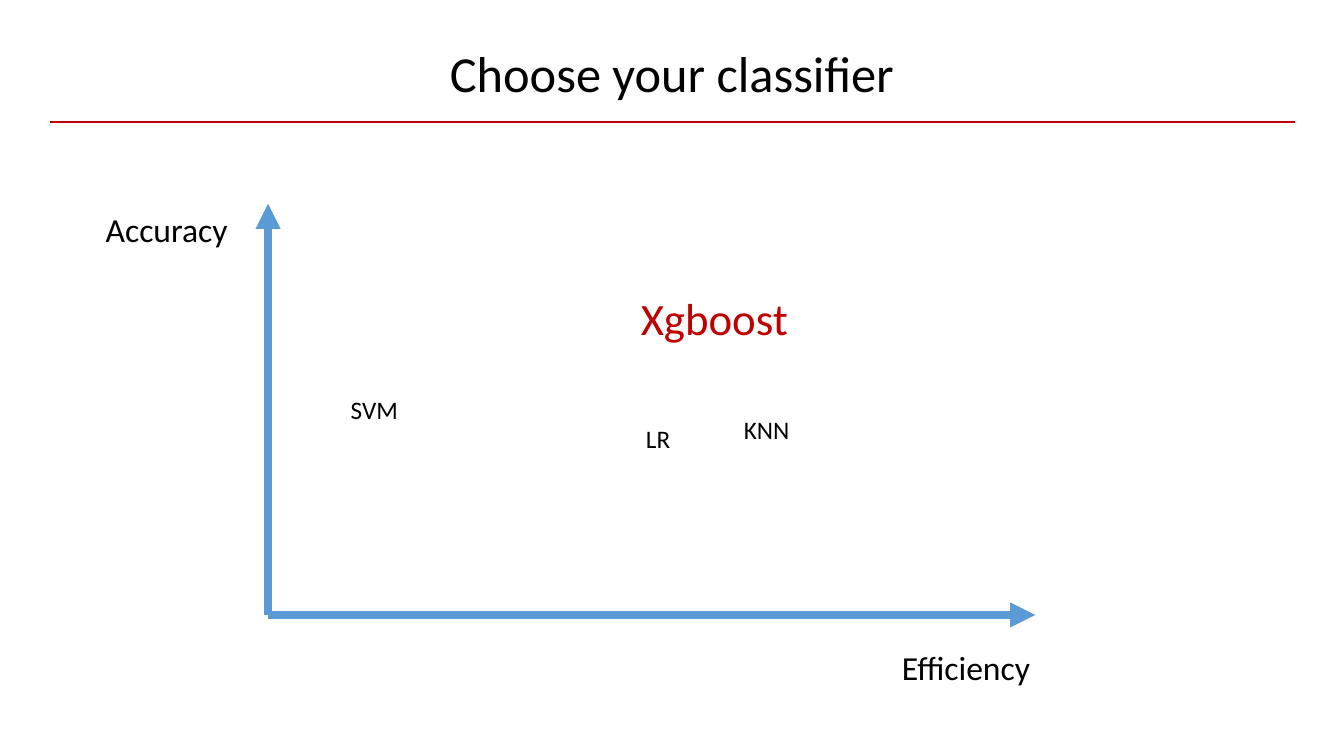
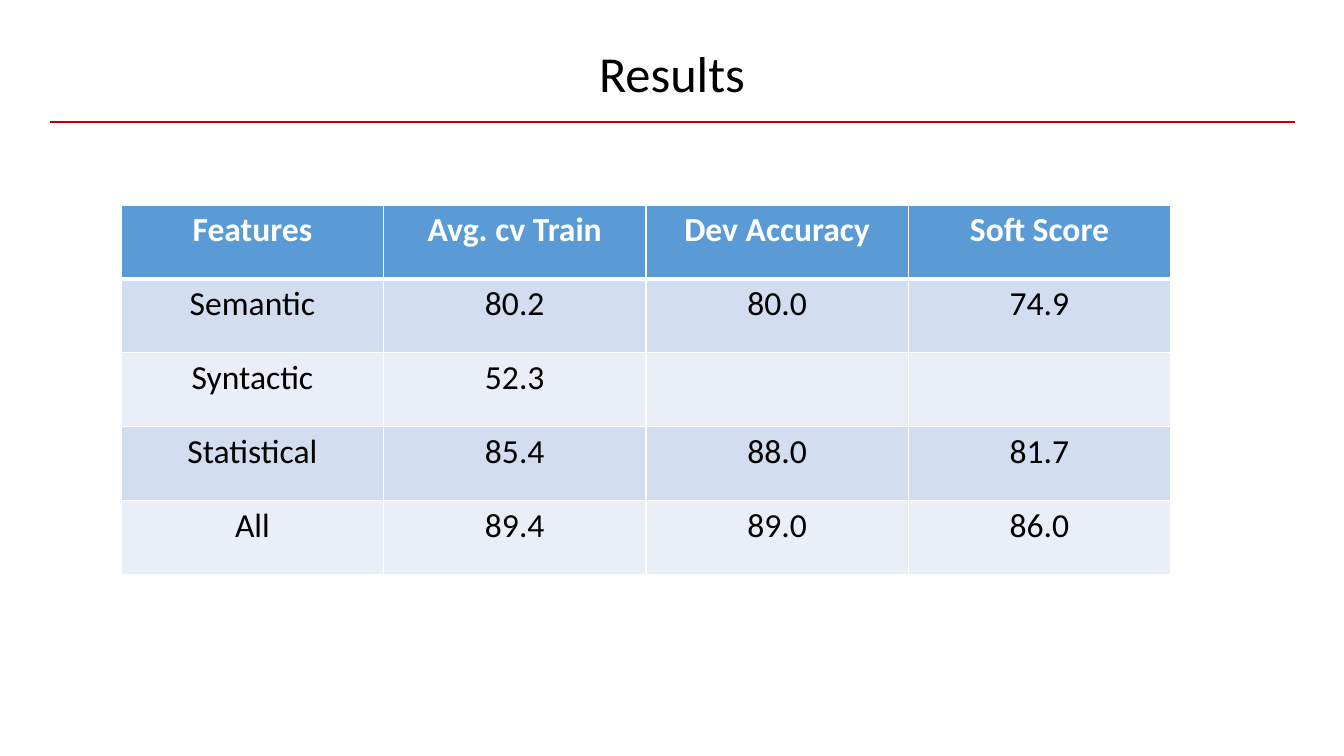
import pptx
import pptx.util
import pptx.dml.color
import pptx.enum.shapes
import pptx.enum.text
import pptx.oxml
import pptx.oxml.ns

Pt = pptx.util.Pt
RGBColor = pptx.dml.color.RGBColor
MSO_ANCHOR = pptx.enum.text.MSO_ANCHOR
PP_ALIGN = pptx.enum.text.PP_ALIGN

# Shared style
FONT = "Calibri"
BLACK = RGBColor(0x00, 0x00, 0x00)
WHITE = RGBColor(0xFF, 0xFF, 0xFF)
RED = RGBColor(0xC0, 0x00, 0x00)
BLUE = RGBColor(0x5B, 0x9B, 0xD5)
BANDS = (RGBColor(0xD2, 0xDE, 0xEF), RGBColor(0xEA, 0xEF, 0xF7))
SLIDE_WIDTH, SLIDE_HEIGHT = 960, 540
TITLE_ONLY = 5

# Classifier chart: points of the axes, then text, left, top, width, size, colour
ORIGIN = (191.5, 439.2)
AXIS_ENDS = [(739.5, 439.2), (191.5, 145.5)]
LABELS = [
    ("Accuracy", 68.4, 145.4, 102, 24, BLACK),
    ("Efficiency", 637.2, 458.6, 108, 24, BLACK),
    ("SVM", 243.4, 277.9, 49, 18, BLACK),
    ("KNN", 524.2, 292.3, 48, 18, BLACK),
    ("LR", 454.3, 298.8, 32, 18, BLACK),
    ("Xgboost", 450.7, 203.8, 121, 32, RED),
]

# Results table
RESULTS = [
    ("Features", "Avg. cv Train", "Dev Accuracy", "Soft Score"),
    ("Semantic", "80.2", "80.0", "74.9"),
    ("Syntactic", "52.3", "", ""),
    ("Statistical", "85.4", "88.0", "81.7"),
    ("All", "89.4", "89.0", "86.0"),
]
TABLE_LEFT, TABLE_TOP = 86.6, 146.4
COLUMN_WIDTH, ROW_HEIGHT = 187.4, 52.8


def format_paragraph(paragraph, size, color, bold=False):
    font = paragraph.font
    font.name, font.size, font.bold = FONT, Pt(size), bold
    font.color.rgb = color


def add_line(slide, start, end, color, width, arrow=False):
    points = [Pt(value) for value in (*start, *end)]
    connector = slide.shapes.add_connector(
        pptx.enum.shapes.MSO_CONNECTOR.STRAIGHT, *points)
    connector.line.color.rgb = color
    connector.line.width = Pt(width)
    if arrow:
        head = pptx.oxml.parse_xml(
            f'<a:tailEnd {pptx.oxml.ns.nsdecls("a")} type="triangle"/>')
        connector.line._get_or_add_ln().append(head)
    connector._element.spPr.append(
        pptx.oxml.parse_xml(f'<a:effectLst {pptx.oxml.ns.nsdecls("a")}/>'))


def add_slide(presentation, title_text):
    """A slide with a centred title above a red rule."""
    slide = presentation.slides.add_slide(presentation.slide_layouts[TITLE_ONLY])
    add_line(slide, (36, 87.1), (925.2, 87.1), RED, 2)
    title = slide.shapes.title
    title.left, title.top = Pt(0), Pt(25.9)
    title.width, title.height = Pt(SLIDE_WIDTH), Pt(51)
    title.text_frame.text = title_text
    title.text_frame.auto_size = pptx.enum.text.MSO_AUTO_SIZE.NONE
    title.text_frame.vertical_anchor = MSO_ANCHOR.MIDDLE
    paragraph = title.text_frame.paragraphs[0]
    paragraph.alignment = PP_ALIGN.CENTER
    format_paragraph(paragraph, 36, BLACK)
    return slide


def add_label(slide, text, left, top, width, size, color):
    box = slide.shapes.add_textbox(
        Pt(left), Pt(top), Pt(width), Pt(size * 1.2 + 7.2))
    box.text_frame.word_wrap = False
    box.text_frame.text = text
    format_paragraph(box.text_frame.paragraphs[0], size, color)


def set_borders(cell, widths):
    """Draw white borders; widths maps L, R, T, B to points."""
    properties = cell._tc.get_or_add_tcPr()
    for index, (side, width) in enumerate(widths.items()):
        border = pptx.oxml.parse_xml(
            f'<a:ln{side} {pptx.oxml.ns.nsdecls("a")} w="{Pt(width)}">'
            f'<a:solidFill><a:srgbClr val="{WHITE}"/></a:solidFill></a:ln{side}>')
        properties.insert(index, border)


def add_results_table(slide):
    row_count, column_count = len(RESULTS), len(RESULTS[0])
    table = slide.shapes.add_table(
        row_count, column_count, Pt(TABLE_LEFT), Pt(TABLE_TOP),
        Pt(COLUMN_WIDTH * column_count), Pt(ROW_HEIGHT * row_count)).table
    for row_index, row in enumerate(RESULTS):
        is_header = row_index == 0
        for column_index, text in enumerate(row):
            cell = table.cell(row_index, column_index)
            cell.text = text
            cell.fill.solid()
            cell.fill.fore_color.rgb = BLUE if is_header else BANDS[(row_index - 1) % 2]
            paragraph = cell.text_frame.paragraphs[0]
            paragraph.alignment = PP_ALIGN.CENTER
            format_paragraph(paragraph, 24, WHITE if is_header else BLACK, is_header)
            set_borders(cell, {"L": 1, "R": 1, "T": 3 if row_index == 1 else 1,
                               "B": 3 if is_header else 1})


def main():
    presentation = pptx.Presentation()
    presentation.slide_width = Pt(SLIDE_WIDTH)
    presentation.slide_height = Pt(SLIDE_HEIGHT)

    # Accuracy against efficiency
    classifier_slide = add_slide(presentation, "Choose your classifier")
    for axis_end in AXIS_ENDS:
        add_line(classifier_slide, ORIGIN, axis_end, BLUE, 6, arrow=True)
    for label in LABELS:
        add_label(classifier_slide, *label)

    # Scores by feature set
    add_results_table(add_slide(presentation, "Results"))

    presentation.save("out.pptx")


if __name__ == "__main__":
    main()
